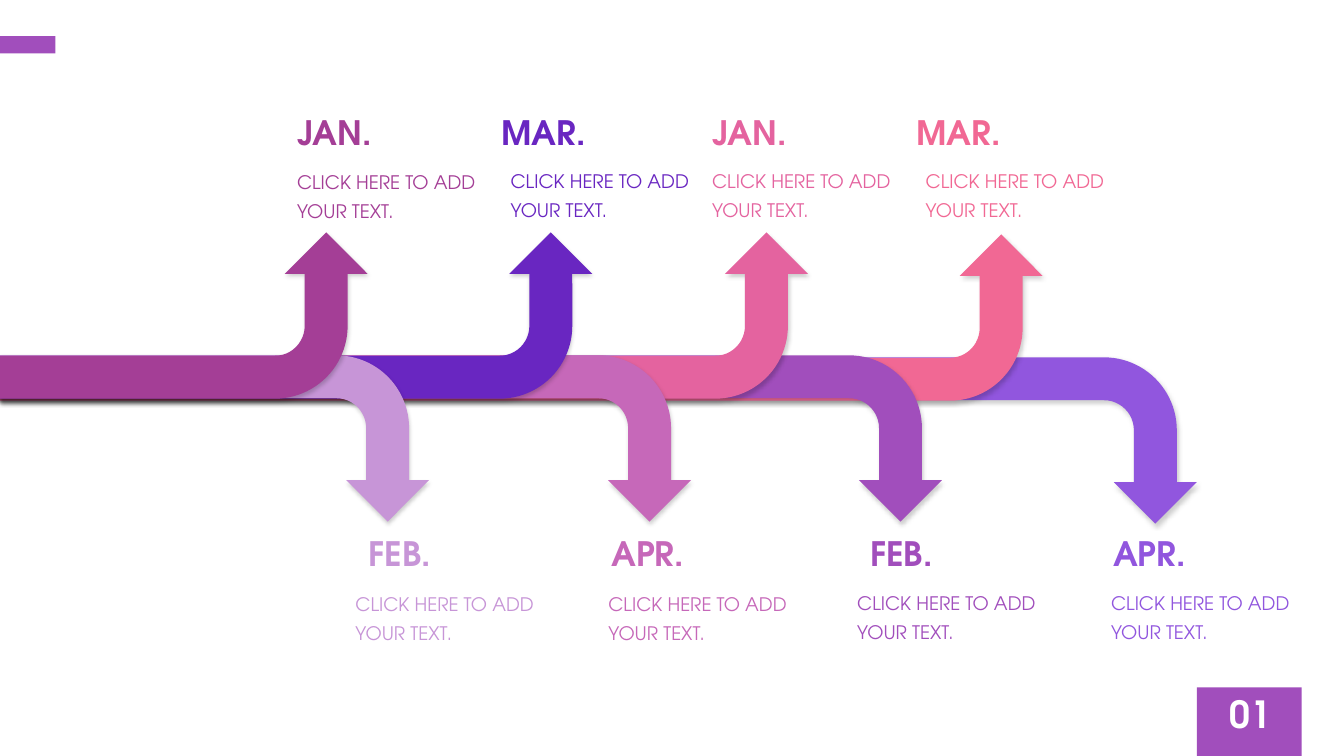
"""Build a month timeline of overlapping bent arrows."""
from dataclasses import dataclass

from lxml.etree import SubElement
from pptx import Presentation
from pptx.dml.color import RGBColor
from pptx.enum.shapes import MSO_SHAPE
from pptx.enum.text import MSO_ANCHOR, MSO_AUTO_SIZE, PP_ALIGN
from pptx.oxml.ns import qn
from pptx.util import Inches, Pt


@dataclass(frozen=True)
class Theme:
    font: str = "TeX Gyre Adventor"
    accent: str = "A14EBC"
    white: str = "FFFFFF"
    shadow: str = "000000"
    month_size: float = 24
    body_size: float = 13.3
    number_size: float = 26.7


theme = Theme()
ARROW_WIDTH = 1.65
BEND = (0.258, 0.25, 0.25, 0.438)
MONTH_WIDTHS = {"JAN.": 0.96, "FEB.": 0.83, "MAR.": 1.04, "APR.": 0.93}

# month, colour, arrow length, arrow centre, month left, body left, body top
EVENTS = [
    ("JAN.", "A43E96", 3.65, 3.13, 2.85, 2.85, 1.58),
    ("FEB.", "C795D7", 4.26, 4.35, 3.56, 3.43, 5.76),
    ("MAR.", "6926C1", 5.88, 3.13, 4.88, 4.97, 1.57),
    ("APR.", "C668B9", 6.86, 4.35, 5.97, 5.94, 5.76),
    ("JAN.", "E4639F", 8.02, 3.13, 6.97, 6.97, 1.57),
    ("FEB.", "A14EBC", 9.35, 4.35, 8.54, 8.41, 5.75),
    ("MAR.", "F16894", 10.35, 3.15, 9.0, 9.09, 1.57),
    ("APR.", "9156DE", 11.88, 4.37, 10.95, 10.93, 5.75),
]

deck = Presentation()
deck.slide_width, deck.slide_height = Inches(13.34), Inches(7.5)
page = deck.slides.add_slide(deck.slide_layouts[6])


def add_filled(kind, bounds, color):
    shape = page.shapes.add_shape(kind, *map(Inches, bounds))
    shape.fill.solid()
    shape.fill.fore_color.rgb = RGBColor.from_string(color)
    shape.line.fill.background()
    shape.shadow.inherit = False
    return shape


def add_text(text, bounds, size, color, bold=False, wrap=True):
    box = page.shapes.add_textbox(*map(Inches, bounds))
    frame = box.text_frame
    frame.word_wrap = wrap
    frame.auto_size = MSO_AUTO_SIZE.SHAPE_TO_FIT_TEXT
    frame.vertical_anchor = MSO_ANCHOR.MIDDLE
    para = frame.paragraphs[0]
    para.text = text
    para.font.name = theme.font
    para.font.size = Pt(size)
    para.font.bold = bold
    para.font.color.rgb = RGBColor.from_string(color)
    return para


for bounds in [(0, 0.36, 0.55, 0.17), (11.88, 6.82, 1.04, 0.68)]:
    add_filled(MSO_SHAPE.RECTANGLE, bounds, theme.accent)
number = add_text("01", (11.89, 6.81, 1.04, 0.54), theme.number_size, theme.white, bold=True)
number.alignment = PP_ALIGN.CENTER

for index, (month, color, length, center, *_) in reversed(list(enumerate(EVENTS))):
    bounds = ((length - ARROW_WIDTH) / 2, center - length / 2, ARROW_WIDTH, length)
    arrow = add_filled(MSO_SHAPE.BENT_ARROW, bounds, color)
    arrow.rotation = 90
    for position, value in enumerate(BEND):
        arrow.adjustments[position] = value
    properties = arrow.element.spPr
    if index % 2 == 0:
        properties.find(qn("a:xfrm")).set("flipH", "1")
    shadow = SubElement(properties.find(qn("a:effectLst")), qn("a:outerShdw"),
                        blurRad=str(Pt(3.1)), dist=str(Pt(1.8)), dir="5400000",
                        algn="t", rotWithShape="0")
    shade = SubElement(shadow, qn("a:srgbClr"), val=theme.shadow)
    SubElement(shade, qn("a:alpha"), val="20000")

for index, (month, color, _, _, month_left, body_left, body_top) in enumerate(EVENTS):
    month_top = 5.24 if index % 2 else 1.06
    add_text(month, (month_left, month_top, MONTH_WIDTHS[month], 0.5),
             theme.month_size, color, bold=True, wrap=False)
    body = add_text("CLICK HERE TO ADD YOUR TEXT.", (body_left, body_top, 2.03, 0.68),
                    theme.body_size, color)
    body.line_spacing = 1.3

deck.save("out.pptx")
